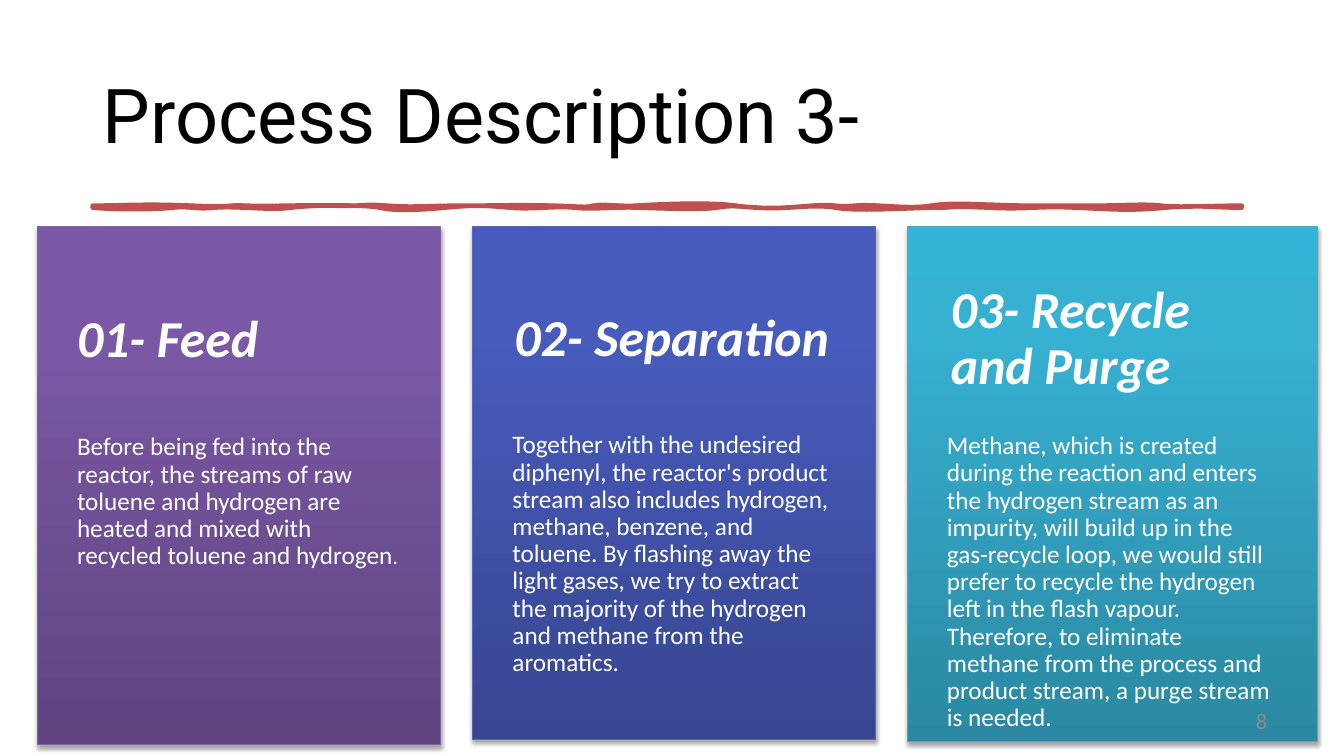
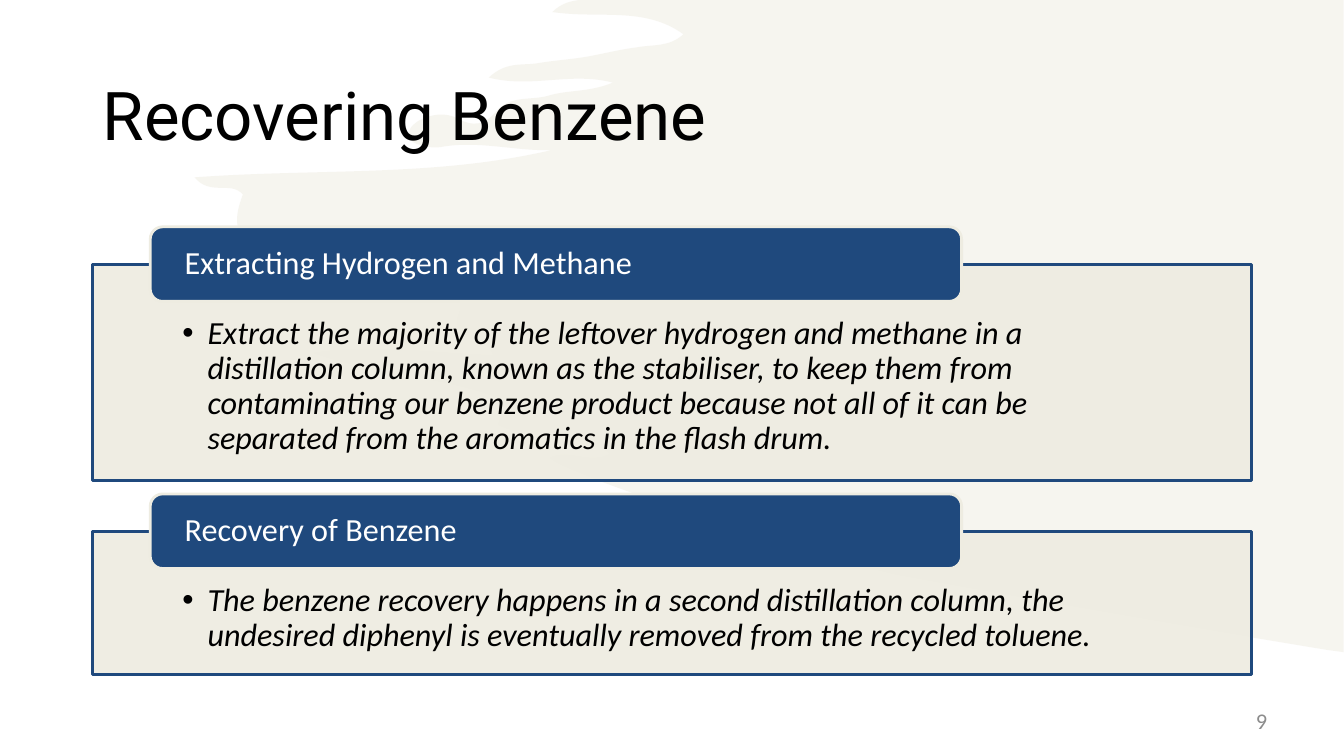
from copy import deepcopy
from dataclasses import dataclass

from lxml.etree import SubElement
from pptx import Presentation
from pptx.dml.color import RGBColor
from pptx.enum.shapes import MSO_SHAPE
from pptx.enum.text import MSO_ANCHOR, PP_ALIGN
from pptx.oxml.ns import qn
from pptx.shapes.autoshape import Shape
from pptx.slide import Slide
from pptx.util import Pt

# Shared look
WHITE = RGBColor(0xFF, 0xFF, 0xFF)
BLACK = RGBColor(0x00, 0x00, 0x00)
GREY = RGBColor(0x8C, 0x8C, 0x8C)
RED = RGBColor(0xC0, 0x50, 0x4D)
NAVY = RGBColor(0x1F, 0x49, 0x7D)
CREAM = RGBColor(0xEE, 0xEC, 0xE1)
TITLE_FONT, BODY_FONT = "Roboto", "Calibri"
MARGIN, CONTENT_WIDTH, CONTENT_TOP = 66.24, 828, 162

# Outlines: points on a grid of 0.72 pt, each curve as x1, y1, x2, y2, x, y
GRID = Pt(0.72)
Curves = list[tuple[int, int, int, int, int, int]]
RULE_START = (92, 204)
RULE_CURVES: Curves = [
    (119, 204, 144, 202, 190, 204), (237, 206, 220, 203, 244, 204),
    (267, 205, 303, 203, 331, 204), (360, 205, 359, 202, 384, 204),
    (410, 206, 423, 204, 460, 204), (498, 204, 514, 203, 548, 204),
    (581, 205, 581, 206, 589, 204), (598, 202, 615, 205, 631, 204),
    (647, 203, 701, 200, 730, 204), (759, 208, 781, 206, 806, 204),
    (831, 202, 827, 206, 848, 204), (868, 202, 901, 208, 924, 204),
    (947, 200, 982, 204, 1023, 204), (1063, 204, 1063, 204, 1087, 204),
    (1112, 204, 1136, 202, 1152, 204), (1168, 206, 1203, 204, 1232, 204),
    (1232, 205, 1232, 205, 1232, 206), (1205, 206, 1189, 203, 1156, 206),
    (1122, 209, 1110, 208, 1068, 206), (1027, 204, 1023, 208, 981, 206),
    (939, 204, 952, 206, 928, 206), (904, 206, 851, 210, 829, 206),
    (806, 202, 782, 208, 753, 206), (724, 204, 725, 204, 711, 206),
    (698, 208, 661, 207, 635, 206), (609, 205, 590, 208, 570, 206),
    (551, 204, 528, 208, 506, 206), (483, 204, 473, 203, 441, 206),
    (409, 209, 390, 209, 377, 206), (363, 203, 310, 203, 289, 206),
    (268, 209, 235, 204, 213, 206), (192, 208, 189, 204, 171, 206),
    (154, 208, 114, 208, 92, 206), (92, 205, 92, 205, 92, 204),
]
BRUSH_START = (575, 0)
BRUSH_CURVES: Curves = [
    (567, 1, 557, 3, 548, 12), (595, 19, 639, 6, 678, 34),
    (664, 47, 648, 44, 632, 47), (616, 49, 600, 53, 584, 56),
    (567, 59, 549, 60, 532, 63), (518, 65, 502, 61, 485, 77),
    (527, 88, 566, 71, 608, 82), (584, 92, 563, 89, 544, 95),
    (527, 100, 506, 94, 492, 111), (481, 124, 469, 126, 455, 118),
    (442, 111, 428, 113, 415, 120), (411, 123, 406, 126, 406, 132),
    (406, 141, 412, 143, 418, 144), (424, 146, 431, 147, 437, 146),
    (474, 139, 510, 150, 547, 149), (431, 176, 314, 167, 193, 176),
    (209, 195, 229, 179, 241, 193), (230, 222, 234, 237, 258, 239),
    (280, 241, 304, 231, 316, 265), (320, 276, 341, 273, 355, 275),
    (384, 279, 414, 275, 442, 288), (453, 293, 460, 297, 455, 311),
    (449, 325, 456, 330, 466, 336), (473, 340, 483, 339, 489, 352),
    (428, 350, 369, 340, 309, 350), (375, 374, 447, 373, 512, 402),
    (510, 412, 495, 407, 494, 422), (528, 438, 569, 427, 605, 450),
    (584, 461, 565, 444, 545, 454), (552, 469, 840, 561, 892, 571),
    (978, 587, 1195, 625, 1318, 645),
]
BRUSH_CORNERS = [(1333, 647), (1333, 0)]


@dataclass(frozen=True)
class TextStyle:
    size: float
    color: RGBColor = WHITE
    font: str = BODY_FONT
    bold: bool = False
    italic: bool = False
    spacing: float = 0.9


@dataclass(frozen=True)
class Card:
    left: float
    width: float
    height: float
    heading_left: float
    gradient: tuple[str, str, str]
    edge: str
    heading: str
    runs: tuple[tuple[str, float], ...]


@dataclass(frozen=True)
class Panel:
    top: float
    height: float
    heading: str
    body: str


CARD_HEADING = TextStyle(37, bold=True, italic=True)
TAB_STYLE = TextStyle(23)
PANEL_STYLE = TextStyle(23, BLACK, italic=True)
NUMBER_STYLE = TextStyle(16, GREY, spacing=1)

CARDS = [
    Card(26.64, 288, 370, 26.64, ("5F4480", "7B58A6", "7C57A8"), "8064A2", "01- Feed",
         (("Before being fed into the reactor, the streams of raw toluene and hydrogen "
           "are heated and mixed with recycled toluene and hydrogen", 18), (".", 15))),
    Card(337.68, 288, 366.5, 339.12, ("374691", "475BBC", "455ABF"), "5767B4", "02- Separation",
         (("Together with the undesired diphenyl, the reactor's product stream also "
           "includes hydrogen, methane, benzene, and toluene. By flashing away the light "
           "gases, we try to extract the majority of the hydrogen and methane from the "
           "aromatics.", 18),)),
    Card(648, 293, 368, 650.88, ("2A88A2", "37B1D2", "34B4D6"), "4BACC6", "03- Recycle and Purge",
         (("Methane, which is created during the reaction and enters the hydrogen stream "
           "as an impurity, will build up in the gas-recycle loop, we would still prefer "
           "to recycle the hydrogen left in the flash vapour. Therefore, to eliminate "
           "methane from the process and product stream, a purge stream is needed.", 18),)),
]
PANELS = [
    Panel(188.64, 154.4, "Extracting Hydrogen and Methane",
          "Extract the majority of the leftover hydrogen and methane in a distillation "
          "column, known as the stabiliser, to keep them from contaminating our benzene "
          "product because not all of it can be separated from the aromatics in the flash "
          "drum."),
    Panel(379.44, 102.6, "Recovery of Benzene",
          "The benzene recovery happens in a second distillation column, the undesired "
          "diphenyl is eventually removed from the recycled toluene."),
]


def write(shape: Shape, runs: tuple[tuple[str, TextStyle], ...],
          insets: tuple[float, float, float, float] = (7.2, 3.6, 7.2, 3.6),
          anchor: MSO_ANCHOR = MSO_ANCHOR.MIDDLE, align: PP_ALIGN = PP_ALIGN.LEFT) -> None:
    frame = shape.text_frame
    frame.word_wrap = True
    frame.vertical_anchor = anchor
    frame.margin_left, frame.margin_top, frame.margin_right, frame.margin_bottom = map(Pt, insets)
    paragraph = frame.paragraphs[0]
    paragraph.alignment = align
    paragraph.line_spacing = runs[0][1].spacing
    for text, style in runs:
        run = paragraph.add_run()
        run.text = text
        run.font.name, run.font.size = style.font, Pt(style.size)
        run.font.bold, run.font.italic = style.bold, style.italic
        run.font.color.rgb = style.color


def add_text_box(slide: Slide, left: float, top: float, width: float, height: float) -> Shape:
    return slide.shapes.add_textbox(Pt(left), Pt(top), Pt(width), Pt(height))


def add_box(slide: Slide, kind: MSO_SHAPE, left: float, top: float, width: float,
            height: float, edge: RGBColor, edge_width: float) -> Shape:
    box = slide.shapes.add_shape(kind, Pt(left), Pt(top), Pt(width), Pt(height))
    box.shadow.inherit = False
    box.line.color.rgb = edge
    box.line.width = Pt(edge_width)
    return box


def fill_solid(shape: Shape, color: RGBColor, opacity: int = 100) -> None:
    shape.fill.solid()
    shape.fill.fore_color.rgb = color
    if opacity < 100:
        rgb = shape.fill._xPr.find(qn("a:solidFill")).find(qn("a:srgbClr"))
        SubElement(rgb, qn("a:alpha"), val=str(opacity * 1000))


def fill_gradient(shape: Shape, colors: tuple[str, str, str]) -> None:
    shape.fill.gradient()
    shape.fill.gradient_angle = 90
    stops = shape.fill._xPr.find(qn("a:gradFill")).find(qn("a:gsLst"))
    stops.append(deepcopy(stops[0]))
    for stop, color, position in zip(shape.fill.gradient_stops, colors, (0, 0.8, 1)):
        stop.position = position
        stop.color.rgb = RGBColor.from_string(color)


def add_soft_shadow(shape: Shape) -> None:
    effects = shape._element.spPr.find(qn("a:effectLst"))
    shadow = SubElement(effects, qn("a:outerShdw"), blurRad=str(Pt(3.1)), dist=str(Pt(1.8)),
                        dir="5400000", rotWithShape="0")
    black = SubElement(shadow, qn("a:srgbClr"), val="000000")
    SubElement(black, qn("a:alpha"), val="35000")


def add_bullet(shape: Shape) -> None:
    properties = shape.text_frame.paragraphs[0]._p.get_or_add_pPr()
    properties.set("marL", str(Pt(18)))
    properties.set("indent", str(-Pt(18)))
    color = SubElement(properties, qn("a:buClr"))
    SubElement(color, qn("a:srgbClr"), val=str(BLACK))
    SubElement(properties, qn("a:buFont"), typeface="Arial")
    SubElement(properties, qn("a:buChar"), char="•")


def add_outline(slide: Slide, start: tuple[int, int], curves: Curves,
                corners: list[tuple[int, int]]) -> Shape:
    """Draw cubic curves, then straight corners, as one closed outline."""
    ends = [curve[4:] for curve in curves] + corners
    builder = slide.shapes.build_freeform(*start, scale=GRID)
    builder.add_line_segments(ends, close=True)
    outline = builder.convert_to_shape()
    outline.shadow.inherit = False
    # Bend the straight segments with their control points
    left, top = (min(values) for values in zip(start, *ends))
    segments = list(outline._element.iter(qn("a:lnTo")))
    for segment, (x1, y1, x2, y2, _, _) in zip(segments, curves):
        bend = segment.makeelement(qn("a:cubicBezTo"))
        for x, y in ((x1, y1), (x2, y2)):
            SubElement(bend, qn("a:pt"), x=str(x - left), y=str(y - top))
        bend.append(segment[0])
        segment.getparent().replace(segment, bend)
    return outline


def add_title(slide: Slide, text: str, size: float) -> None:
    title = add_text_box(slide, MARGIN, 28.8, CONTENT_WIDTH, 104.4)
    write(title, ((text, TextStyle(size, BLACK, TITLE_FONT, spacing=1)),))


def add_page_number(slide: Slide, number: int) -> None:
    footer = add_text_box(slide, 688.32, 500.4, 223.92, 28.8)
    write(footer, ((str(number), NUMBER_STYLE),), align=PP_ALIGN.RIGHT)


def add_card(slide: Slide, card: Card) -> None:
    body = add_box(slide, MSO_SHAPE.RECTANGLE, card.left, CONTENT_TOP, card.width,
                   card.height, RGBColor.from_string(card.edge), 0.75)
    fill_gradient(body, card.gradient)
    add_soft_shadow(body)
    write(body, tuple((text, TextStyle(size)) for text, size in card.runs),
          (28.4, card.height * 0.4, 28, 0), MSO_ANCHOR.TOP)
    heading_height = 138
    heading_top = CONTENT_TOP + card.height * 0.22 - heading_height / 2
    heading = add_text_box(slide, card.heading_left, heading_top, 288, heading_height)
    write(heading, ((card.heading, CARD_HEADING),), (28.4, 13, 28, 13))


def add_panel(slide: Slide, panel: Panel) -> None:
    body = add_box(slide, MSO_SHAPE.RECTANGLE, MARGIN, panel.top, CONTENT_WIDTH,
                   panel.height, NAVY, 2)
    fill_solid(body, CREAM, 90)
    write(body, ((panel.body, PANEL_STYLE),), (64, 37.8, 64, 0), MSO_ANCHOR.TOP)
    add_bullet(body)
    tab = add_box(slide, MSO_SHAPE.ROUNDED_RECTANGLE, 107.3, panel.top - 26.6, 579.6, 53.3,
                  CREAM, 2)
    fill_solid(tab, NAVY)
    write(tab, ((panel.heading, TAB_STYLE),), (22, 0, 22, 0))


def main() -> None:
    deck = Presentation()
    deck.slide_width, deck.slide_height = Pt(960), Pt(540)
    blank = deck.slide_layouts[6]

    # Process description: three cards under a hand-drawn rule
    process = deck.slides.add_slide(blank)
    add_title(process, "Process Description 3-", 54)
    rule = add_outline(process, RULE_START, RULE_CURVES, [])
    fill_solid(rule, RED)
    rule.line.color.rgb = RED
    rule.line.width = Pt(3.25)
    for card in CARDS:
        add_card(process, card)
    add_page_number(process, 8)

    # Benzene recovery: two tabbed panels over a brush stroke
    recovery = deck.slides.add_slide(blank)
    brush = add_outline(recovery, BRUSH_START, BRUSH_CURVES, BRUSH_CORNERS)
    fill_solid(brush, CREAM, 50)
    brush.line.fill.background()
    add_title(recovery, "Recovering Benzene", 48)
    for panel in PANELS:
        add_panel(recovery, panel)
    add_page_number(recovery, 9)

    deck.save("out.pptx")


if __name__ == "__main__":
    main()
